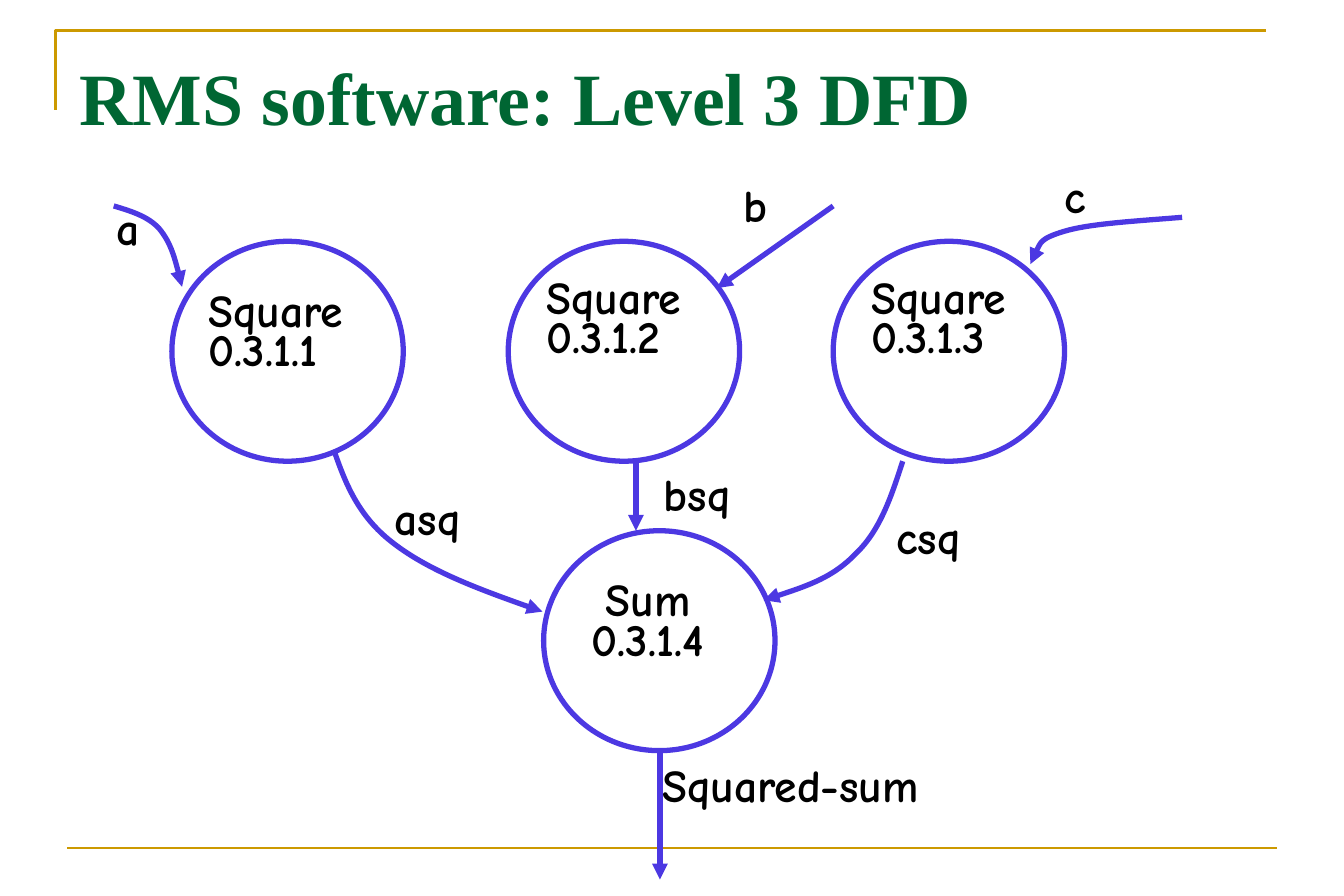
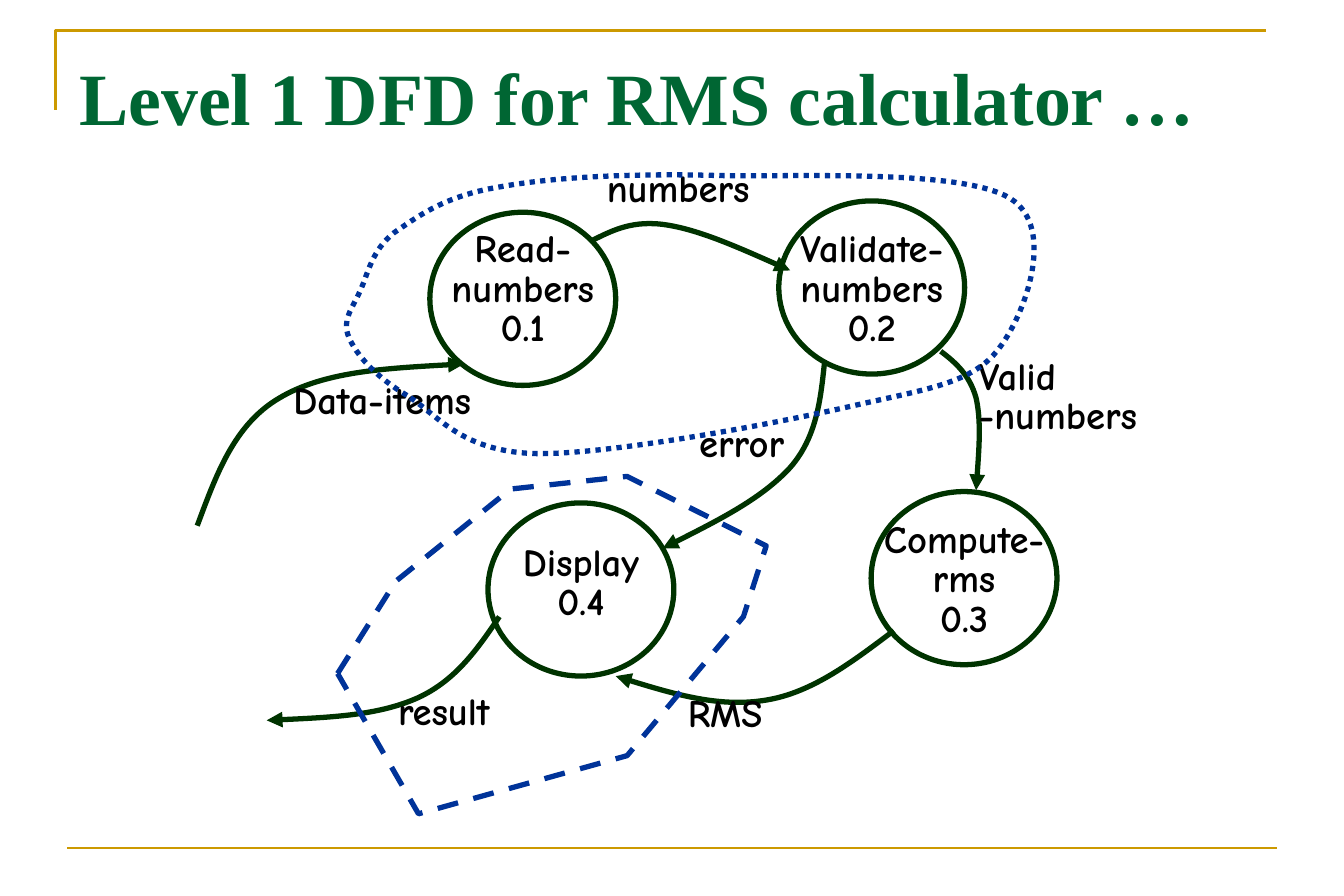
import pptx
import pptx.dml.color
import pptx.enum.dml
import pptx.enum.shapes
import pptx.enum.text
import pptx.oxml
import pptx.oxml.ns
import pptx.util

Inches = pptx.util.Inches
Pt = pptx.util.Pt
qn = pptx.oxml.ns.qn
DASH = pptx.enum.dml.MSO_LINE
LEFT = pptx.enum.text.PP_ALIGN.LEFT
CENTER = pptx.enum.text.PP_ALIGN.CENTER

COLORS = {
    "rule": "CC9900",
    "title": "006633",
    "text": "000000",
    "level3": "4C38E2",
    "level1": "003300",
    "boundary": "003399",
}
# Text size in points and line spacing of the labels on each slide
LEVEL3_TEXT = (26, 0.72)
LEVEL1_TEXT = (22, 0.85)


def rgb(name):
    return pptx.dml.color.RGBColor.from_string(COLORS[name])


def sub(parent, tag):
    child = parent.makeelement(qn(tag), {})
    parent.append(child)
    return child


def style_line(shape, color, width=3, dash=None, arrow=False):
    shape.line.color.rgb = rgb(color)
    shape.line.width = Pt(width)
    if dash is not None:
        shape.line.dash_style = dash
    if arrow:
        sub(shape.element.spPr.find(qn("a:ln")), "a:tailEnd").set("type", "triangle")


def straight(s, start, end, color, width=3, arrow=True):
    ends = [Inches(v) for v in (*start, *end)]
    c = s.shapes.add_connector(pptx.enum.shapes.MSO_CONNECTOR.STRAIGHT, *ends)
    style_line(c, color, width, arrow=arrow)
    sub(c.element.spPr, "a:effectLst")


def outline(s, points, color, **line):
    """Draw an unfilled polyline through the points."""
    emu = [(Inches(x), Inches(y)) for x, y in points]
    builder = s.shapes.build_freeform(*emu[0])
    builder.add_line_segments(emu[1:], close=False)
    shape = builder.convert_to_shape()
    shape.fill.background()
    shape.shadow.inherit = False
    style_line(shape, color, **line)
    return shape


def curve(s, points, color, **line):
    """Draw cubic Bezier segments: a start, then two controls and an end for each."""
    shape = outline(s, points, color, **line)
    segments = list(shape.element.iter(qn("a:lnTo")))
    path_element = segments[0].getparent()
    for i in range(0, len(segments), 3):
        bezier = sub(path_element, "a:cubicBezTo")
        for segment in segments[i:i + 3]:
            bezier.append(segment[0])
            path_element.remove(segment)


def circle(s, x, y, w, h, color):
    shape = s.shapes.add_shape(pptx.enum.shapes.MSO_SHAPE.OVAL,
                               Inches(x), Inches(y), Inches(w), Inches(h))
    shape.fill.background()
    shape.shadow.inherit = False
    style_line(shape, color)


def text_box(s, text, x, y, w, h, margins, size, font, color):
    """Add a bold one-paragraph box and return its paragraph."""
    tf = s.shapes.add_textbox(Inches(x), Inches(y), Inches(w), Inches(h)).text_frame
    tf.word_wrap = True
    tf.margin_left = tf.margin_right = Inches(margins[0])
    tf.margin_top = tf.margin_bottom = Inches(margins[1])
    p = tf.paragraphs[0]
    p.text = text
    p.font.size = Pt(size)
    p.font.name = font
    p.font.bold = True
    p.font.color.rgb = rgb(color)
    return p


def label(s, text, x, y, w, h, style, align=LEFT):
    size, spacing = style
    p = text_box(s, text, x, y, w, h, (0.02, 0.06), size, "Comic Neue", "text")
    p.line_spacing = spacing
    p.alignment = align


def new_slide(prs, title):
    """Add a slide with the corner rule, the footer rule and the title."""
    s = prs.slides.add_slide(prs.slide_layouts[6])
    outline(s, [(0.44, 0.87), (0.44, 0.24), (10.01, 0.24)], "rule", width=1.5)
    straight(s, (0.53, 6.71), (10.1, 6.71), "rule", width=1.5, arrow=False)
    text_box(s, title, 0.53, 0.29, 9.57, 0.67, (0.1, 0.12), 42,
             "Times New Roman", "title")
    return s


def level3_slide(prs):
    s = new_slide(prs, "RMS software: Level 3 DFD")
    for x, y in [(1.36, 1.91), (4.02, 1.91), (6.59, 1.91), (4.3, 4.2)]:
        circle(s, x, y, 1.83, 1.74, "level3")

    for points in [
        [(0.9, 1.63), (1.03, 1.67), (1.17, 1.71), (1.26, 1.81),
         (1.35, 1.92), (1.4, 2.1), (1.44, 2.27)],
        [(9.35, 1.72), (8.98, 1.75), (8.62, 1.77), (8.42, 1.83),
         (8.22, 1.89), (8.19, 1.99), (8.15, 2.09)],
        [(2.64, 3.56), (2.73, 3.82), (2.83, 4.08), (3.1, 4.29),
         (3.38, 4.51), (3.83, 4.68), (4.29, 4.84)],
        [(7.14, 3.65), (7.05, 3.93), (6.96, 4.2), (6.77, 4.38),
         (6.59, 4.57), (6.32, 4.66), (6.04, 4.75)],
    ]:
        curve(s, points, "level3", arrow=True)
    for start, end in [((6.59, 1.63), (5.67, 2.28)),
                       ((5.03, 3.65), (5.03, 4.2)),
                       ((5.22, 5.95), (5.22, 6.96))]:
        straight(s, start, end, "level3")

    for text, x, y, align in [
        ("Square\n0.3.1.1", 1.63, 2.28, LEFT),
        ("Square\n0.3.1.2", 4.3, 2.18, LEFT),
        ("Square\n0.3.1.3", 6.87, 2.18, LEFT),
        ("Sum\n0.3.1.4", 4.39, 4.57, CENTER),
    ]:
        label(s, text, x, y, 1.47, 0.99, LEVEL3_TEXT, align)
    for text, x, y, w in [
        ("a", 0.9, 1.63, 0.91),
        ("b", 5.86, 1.45, 0.91),
        ("c", 8.4, 1.38, 0.91),
        ("asq", 3.1, 3.93, 0.91),
        ("bsq", 5.23, 3.74, 0.91),
        ("csq", 7.07, 4.08, 0.91),
        ("Squared-sum", 5.22, 6.04, 3.3),
    ]:
        label(s, text, x, y, w, 0.55, LEVEL3_TEXT)


def level1_slide(prs):
    s = new_slide(prs, "Level 1 DFD for RMS calculator …")
    for text, x, y, text_y, text_h in [
        ("Read-numbers\n0.1", 3.4, 1.68, 1.77, 1.21),
        ("Display\n0.4", 3.86, 3.98, 4.25, 0.85),
        ("Validate-numbers\n0.2", 6.16, 1.59, 1.77, 1.54),
        ("Compute-rms\n0.3", 6.89, 3.89, 4.07, 1.21),
    ]:
        circle(s, x, y, 1.47, 1.37, "level1")
        label(s, text, x, text_y, 1.47, text_h, LEVEL1_TEXT, CENTER)

    for points in [
        [(1.56, 4.16), (1.71, 3.76), (1.85, 3.36), (2.21, 3.15),
         (2.56, 2.94), (3.12, 2.91), (3.67, 2.88)],
        [(4.69, 1.9), (4.85, 1.82), (5.01, 1.74), (5.27, 1.78),
         (5.53, 1.82), (5.89, 1.98), (6.25, 2.14)],
        [(7.44, 2.78), (7.56, 2.87), (7.67, 2.97), (7.72, 3.15),
         (7.76, 3.33), (7.74, 3.61), (7.72, 3.88)],
        [(7.07, 4.99), (6.75, 5.23), (6.43, 5.48), (6.06, 5.54),
         (5.7, 5.6), (5.28, 5.48), (4.87, 5.35)],
        [(3.95, 4.88), (3.78, 5.13), (3.61, 5.38), (3.31, 5.52),
         (3, 5.66), (2.56, 5.68), (2.11, 5.7)],
        [(6.52, 2.88), (6.49, 3.16), (6.46, 3.46), (6.25, 3.7),
         (6.03, 3.94), (5.64, 4.14), (5.24, 4.34)],
    ]:
        curve(s, points, "level1", arrow=True)

    for text, x, y, w, h in [
        ("Data-items", 2.3, 2.97, 1.47, 0.84),
        ("result", 3.13, 5.43, 1.1, 0.48),
        ("RMS", 5.42, 5.45, 1.1, 0.48),
        ("numbers", 4.78, 1.29, 1.47, 0.48),
        ("Valid -numbers", 7.72, 2.78, 1.47, 1.18),
        ("error", 5.51, 3.31, 1.47, 0.48),
    ]:
        label(s, text, x, y, w, h, LEVEL1_TEXT)

    input_boundary = [
        (3.22, 3.13), (2.97, 2.98), (2.82, 2.81), (2.76, 2.67),
        (2.7, 2.53), (2.79, 2.44), (2.85, 2.3),
        (2.91, 2.17), (2.94, 1.98), (3.12, 1.84),
        (3.31, 1.71), (3.52, 1.55), (3.95, 1.48),
        (4.38, 1.4), (5.02, 1.37), (5.7, 1.39),
        (6.37, 1.4), (7.62, 1.34), (7.99, 1.57),
        (8.36, 1.8), (8.11, 2.49), (7.9, 2.76),
        (7.69, 3.04), (7.32, 3.08), (6.71, 3.22),
        (6.09, 3.36), (4.81, 3.6), (4.23, 3.59),
        (3.64, 3.57), (3.46, 3.28), (3.22, 3.13),
    ]
    curve(s, input_boundary, "boundary", dash=DASH.ROUND_DOT)
    display_boundary = [
        (2.67, 5.33), (3.13, 4.6), (4.04, 3.87), (4.96, 3.77), (6.06, 4.32),
        (5.88, 4.88), (4.96, 5.98), (3.31, 6.44), (2.67, 5.33),
    ]
    outline(s, display_boundary, "boundary", dash=DASH.DASH)


def main():
    prs = pptx.Presentation()
    prs.slide_width = Inches(10.63)
    prs.slide_height = Inches(7.09)
    level3_slide(prs)
    level1_slide(prs)
    prs.save("out.pptx")


if __name__ == "__main__":
    main()
